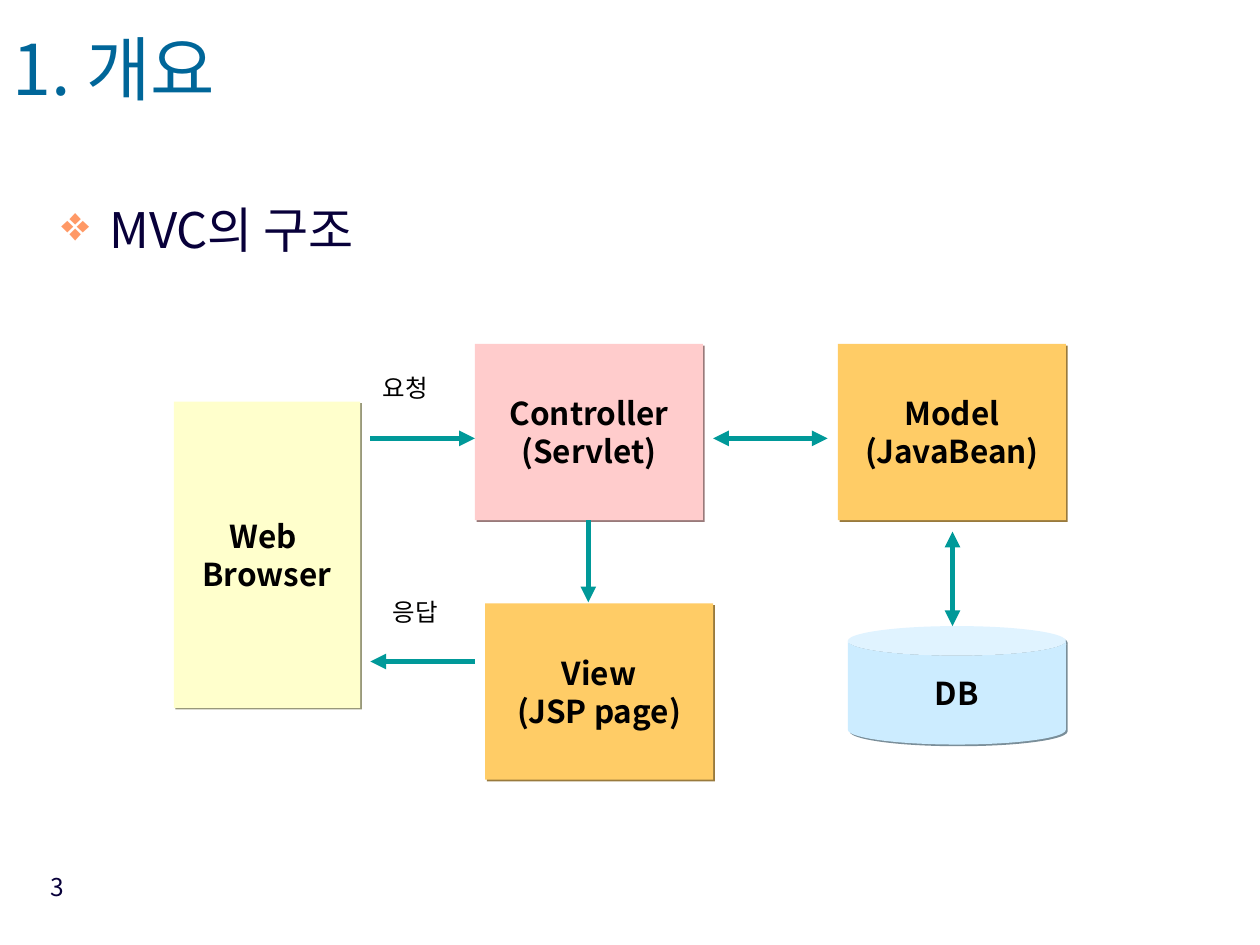
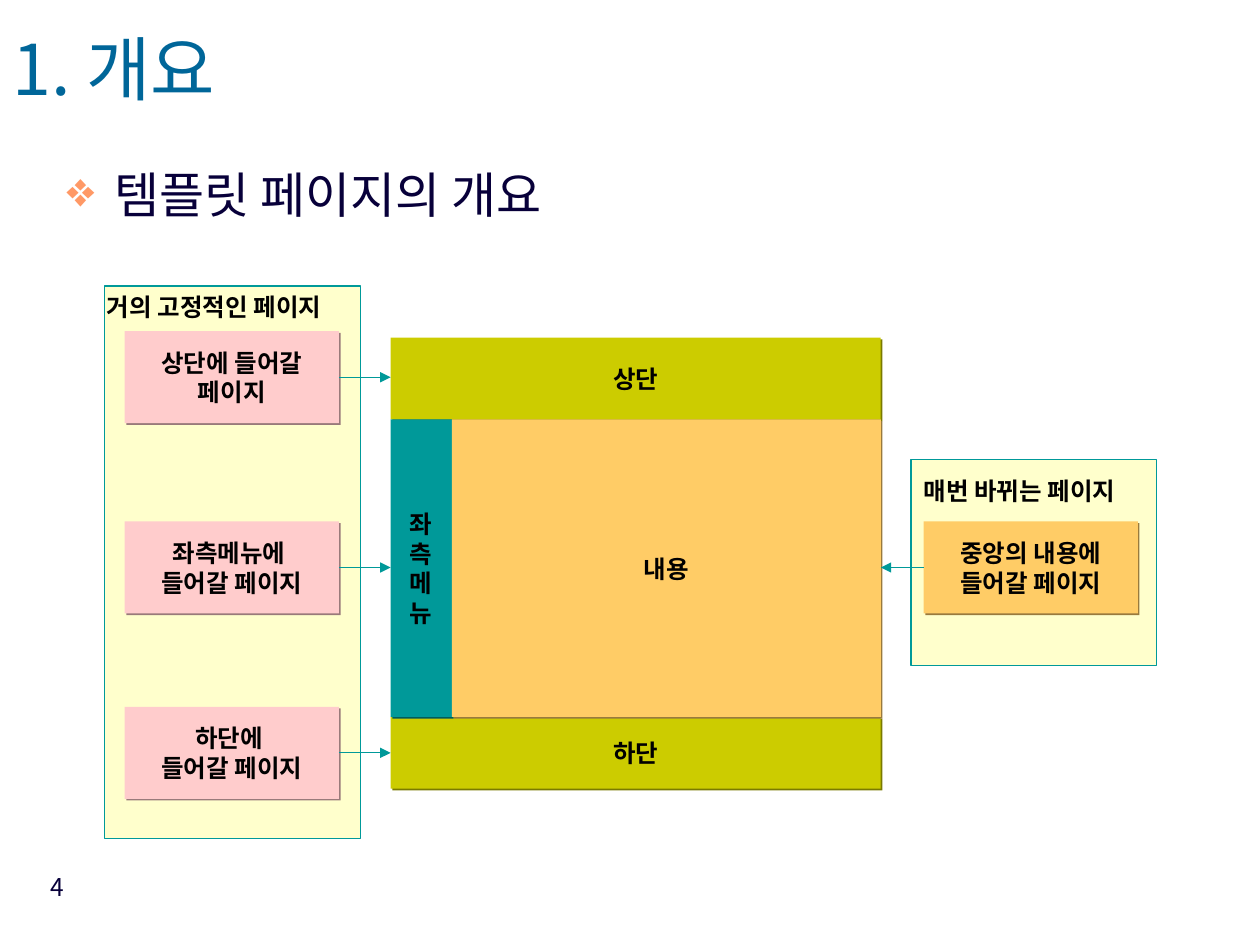
from pptx import Presentation
from pptx.dml.color import RGBColor
from pptx.enum.shapes import MSO_CONNECTOR as CON, MSO_SHAPE as SHAPE
from pptx.enum.text import MSO_ANCHOR as ANCHOR, PP_ALIGN as ALIGN
from pptx.oxml.ns import qn
from pptx.util import Pt
from lxml.etree import SubElement as sub

FACE = "Noto Sans CJK KR"
NAVY, BLUE, CORAL, BLACK = "08003A", "006699", "FF9966", "010000"
TEAL, CREAM, PINK = "009999", "FFFFCC", "FFCCCC"
AMBER, OLIVE, SKY = "FFCC66", "CCCC00", "CCECFF"


def rgb(code):
    """Turn a hex string into a colour."""
    return RGBColor.from_string(code)


def dim(code):
    """Return the shadow tone of a fill: 60 % of each channel."""
    parts = [int(code[i:i + 2], 16) for i in (0, 2, 4)]
    return "".join(f"{round(part * 0.6):02X}" for part in parts)


def write(frame, text, size, color, bold=False, align=ALIGN.LEFT):
    """Fill a text frame, one paragraph for each line."""
    frame.text = text
    for para in frame.paragraphs:
        para.alignment = align
        font = para.font
        font.name, font.size, font.bold = FACE, Pt(size), bold
        font.color.rgb = rgb(color)
        sub(font._element, qn("a:ea"), typeface=FACE)


def label(slide, x, y, w, h, text, size=14, color=BLACK, **style):
    """Add a wrapping text box and return its frame."""
    frame = slide.shapes.add_textbox(Pt(x), Pt(y), Pt(w), Pt(h)).text_frame
    frame.word_wrap = True
    write(frame, text, size, color, **style)
    return frame


def shape(slide, x, y, w, h, fill, kind=SHAPE.RECTANGLE):
    """Add a filled shape with no line and no shadow."""
    item = slide.shapes.add_shape(kind, Pt(x), Pt(y), Pt(w), Pt(h))
    item.shadow.inherit = False
    item.fill.solid()
    item.fill.fore_color.rgb = rgb(fill)
    item.line.fill.background()
    return item


def block(slide, x, y, w, h, fill, text, size=14, kind=SHAPE.RECTANGLE):
    """Add a shape with a hard shadow and bold centred text."""
    item = shape(slide, x, y, w, h, fill, kind)
    effect = item._element.spPr.find(qn("a:effectLst"))
    cast = sub(effect, qn("a:outerShdw"), dist=str(Pt(1.4)),
               dir=str(45 * 60000), algn="ctr", rotWithShape="0")
    sub(cast, qn("a:srgbClr"), val=dim(fill))
    frame = item.text_frame
    frame.word_wrap = False
    frame.vertical_anchor = ANCHOR.MIDDLE
    write(frame, text, size, BLACK, True, ALIGN.CENTER)


def panel(slide, x, y, w, h):
    """Add an outlined cream panel."""
    line = shape(slide, x, y, w, h, CREAM).line
    line.color.rgb, line.width = rgb(TEAL), Pt(0.74)


def arrow(slide, x1, y1, x2, y2, width=3, both=False):
    """Add a teal arrow, with a head at one end or both."""
    item = slide.shapes.add_connector(CON.STRAIGHT, Pt(x1), Pt(y1),
                                      Pt(x2), Pt(y2))
    item.line.color.rgb, item.line.width = rgb(TEAL), Pt(width)
    line = item.line._get_or_add_ln()
    for end in ("headEnd", "tailEnd") if both else ("tailEnd",):
        sub(line, qn("a:" + end), type="triangle")
    sub(item._element.spPr, qn("a:effectLst"))


def page(deck, num, topic, x, y):
    """Add a slide with its title, bulleted topic and page number."""
    slide = deck.slides.add_slide(deck.slide_layouts[6])
    label(slide, 10, 494.6, 34, 37.4, str(num), 14, NAVY, align=ALIGN.RIGHT)
    title = label(slide, 0, 20, 615, 48.5, "1. 개요", 40, BLUE)
    title.vertical_anchor = ANCHOR.MIDDLE
    title.paragraphs[0].line_spacing = 0.7
    para = label(slide, x, y, 663, 51, topic, 28, NAVY).paragraphs[0]
    props = para._p.get_or_add_pPr()
    props.set("marL", str(Pt(27.4)))
    props.set("indent", str(-Pt(27.4)))
    tint = props.makeelement(qn("a:buClr"))
    sub(tint, qn("a:srgbClr"), val=CORAL)
    mark = props.makeelement(qn("a:buChar"), char="❖")
    props.insert(0, tint)
    props.insert(1, mark)
    return slide


def mvc(slide, x, y):
    """Draw the MVC parts and their arrows from a top left corner."""
    w, h, mid = 130.3, 100.8, 54
    block(slide, x, y + 33, 106.5, 175, CREAM, "Web \nBrowser", 18)
    for dx, dy, fill, text in (
            (172.1, 0, PINK, "Controller\n(Servlet)"),
            (379.5, 0, AMBER, "Model\n(JavaBean)"),
            (177.9, 148.3, AMBER, "View\n(JSP page)")):
        block(slide, x + dx, y + dy, w, h, fill, text, 18)
    block(slide, x + 385.2, y + 161.3, 124.6, 67.7, SKY, "DB", 18, SHAPE.CAN)
    for x1, y1, x2, y2, both in (
            (112.4, mid, 172.1, mid, False),
            (172.1, 181.5, 112.4, 181.5, False),
            (236.9, h, 236.9, 147.7, False),
            (308.2, mid, 373.7, mid, True),
            (445, 107.3, 445, 161.3, True)):
        arrow(slide, x + x1, y + y1, x + x2, y + y2, both=both)
    label(slide, x + 112.4, y + 13, 53.3, 24.5, "요청")
    label(slide, x + 118.1, y + 141.1, 53.3, 24.5, "응답")


def layout(slide, x, y, w, h):
    """Draw the template page: top, side menu, content and bottom."""
    top, foot, side = 46.8, 41, 35
    body = h - top - foot
    block(slide, x, y, w, top, OLIVE, "상단")
    block(slide, x, y + h - foot, w, foot, OLIVE, "하단")
    block(slide, x, y + top, side, body, TEAL, "좌\n측\n메\n뉴")
    block(slide, x + side, y + top, w - side, body, AMBER, "내용")


def parts(slide, x, y):
    """Draw the fixed and changing pages around the template page."""
    w, h = 122.4, 52.6
    left, right = x + 163.4, x + 443.5
    panel(slide, x, y, 146.2, 316)
    label(slide, x - 5.8, y, 152, 24.5, "거의 고정적인 페이지", bold=True)
    panel(slide, x + 460.8, y + 99.4, 140.4, 117.4)
    label(slide, x + 460.8, y + 105.1, 140.4, 24.5, "매번 바뀌는 페이지",
          bold=True)
    layout(slide, left, y + 29.5, right - left, 257.8)
    for dx, dy, fill, text in (
            (11.5, 25.9, PINK, "상단에 들어갈\n페이지"),
            (11.5, 134.6, PINK, "좌측메뉴에 \n들어갈 페이지"),
            (11.5, 240.5, PINK, "하단에 \n들어갈 페이지"),
            (468, 134.6, AMBER, "중앙의 내용에\n들어갈 페이지")):
        block(slide, x + dx, y + dy, w, h, fill, text)
        start, end = (x + dx + w, left) if fill == PINK else (x + dx, right)
        mid = y + dy + h / 2
        arrow(slide, start, mid, end, mid, 0.74)


def main():
    """Build both slides and save them."""
    deck = Presentation()
    deck.slide_width, deck.slide_height = Pt(720), Pt(540)
    mvc(page(deck, 3, "MVC의 구조", 28, 110.2), 99.3, 196.5)
    parts(page(deck, 4, "템플릿 페이지의 개요", 31, 90.7), 59.8, 163.4)
    deck.save("out.pptx")


main()
